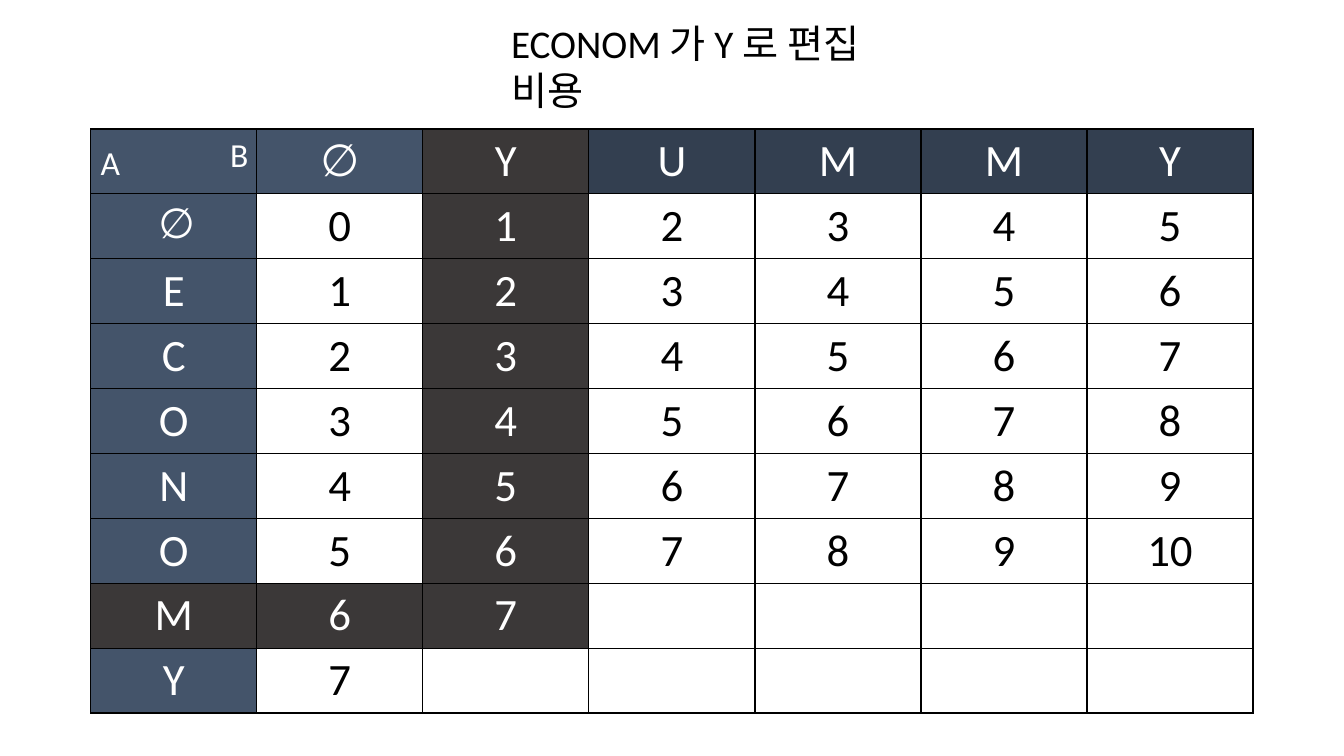
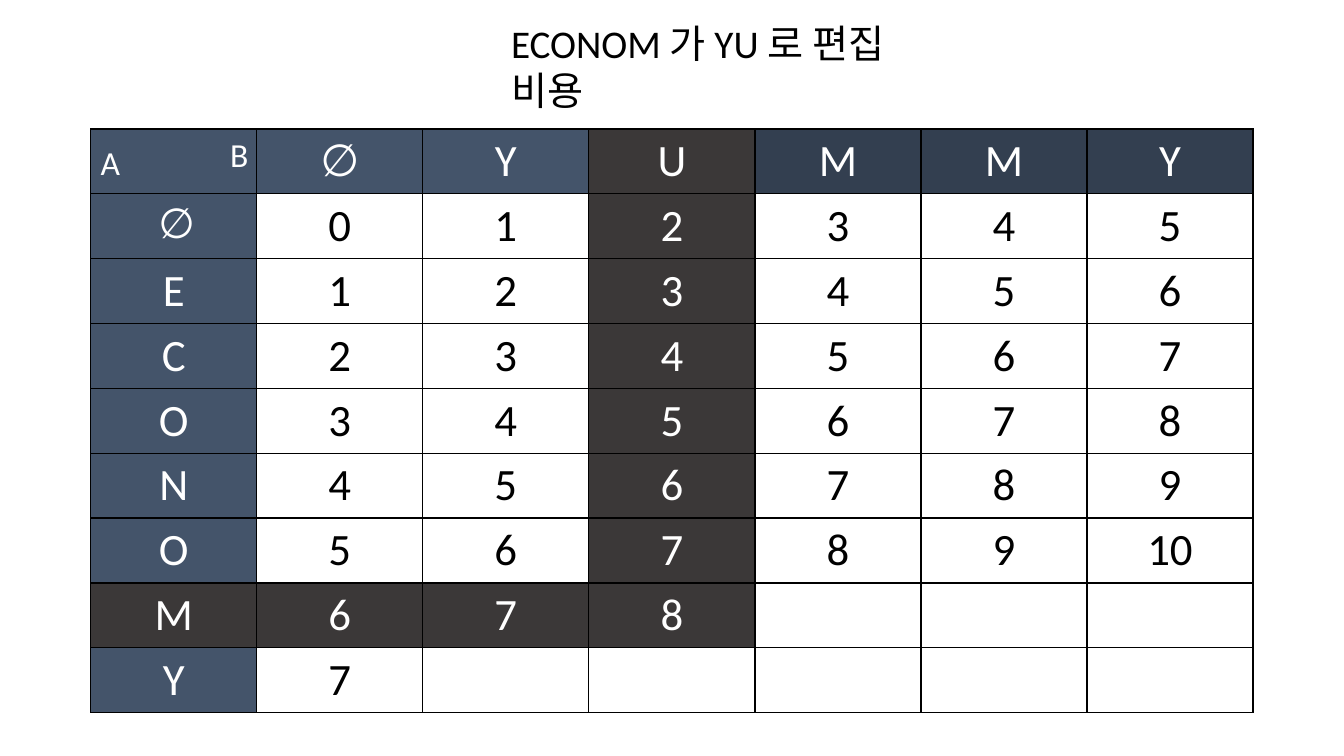
from dataclasses import dataclass

from pptx import Presentation
from pptx.dml.color import RGBColor
from pptx.enum.text import MSO_AUTO_SIZE, PP_ALIGN
from pptx.oxml import parse_xml
from pptx.oxml.ns import nsdecls
from pptx.util import Inches, Pt

# Shared look
FONT = "Calibri"
BLUE, NAVY, DARK = "44546A", "333F50", "3B3838"
WHITE, BLACK = "FFFFFF", "000000"

# Grid: one header row and column around the cost matrix
WIDE, HIGH = 13.33, 7.5
LEFT, TOP = 0.9, 1.28
COLS, ROWS = "∅YUMMY", "∅ECONOMY"
COL_W = 11.53 / (len(COLS) + 1)
ROW_H = 5.79 / (len(ROWS) + 1)
STOP = 6  # matrix row being filled in


@dataclass
class Step:
    title: str
    col: int  # matrix column being filled in


@dataclass
class Label:
    text: str
    left: float
    top: float
    width: float
    height: float
    size: int
    color: str
    wrap: bool = False


STEPS = [
    Step("ECONOM 가 Y 로 편집 비용", 1),
    Step("ECONOM 가 YU 로 편집 비용", 2),
]
CORNER = [
    Label("A", LEFT, TOP + ROW_H / 8, 0.4, 0.5, 24, WHITE),
    Label("B", LEFT + 0.78 * COL_W, TOP, 0.38, 0.5, 24, WHITE),
]


def paint(code: str) -> RGBColor:
    return RGBColor.from_string(code)


def add_run(para, text: str, size: int, color: str) -> None:
    run = para.add_run()
    run.text = text
    run.font.name = FONT
    run.font.size = Pt(size)
    run.font.color.rgb = paint(color)


def add_label(slide, item: Label) -> None:
    box = slide.shapes.add_textbox(*map(
        Inches, (item.left, item.top, item.width, item.height)))
    frame = box.text_frame
    frame.word_wrap = item.wrap
    frame.auto_size = MSO_AUTO_SIZE.SHAPE_TO_FIT_TEXT
    add_run(frame.paragraphs[0], item.text, item.size, item.color)


def set_cell(cell, runs: list[tuple[str, int]], fill: str) -> None:
    # Borders come before the fill in the cell properties
    props = cell._tc.get_or_add_tcPr()
    for side in "LRTB":
        props.append(parse_xml(
            f'<a:ln{side} {nsdecls("a")} w="{Pt(1)}"><a:solidFill>'
            f'<a:srgbClr val="{BLACK}"/></a:solidFill></a:ln{side}>'))
    cell.fill.solid()
    cell.fill.fore_color.rgb = paint(fill)
    para = cell.text_frame.paragraphs[0]
    para.alignment = PP_ALIGN.CENTER
    for text, size in runs:
        add_run(para, text, size, BLACK if fill == WHITE else WHITE)


def get_runs(row: int, col: int, stop: int) -> list[tuple[str, int]]:
    """Row and column -1 are the headers."""
    if row == col == -1:
        return []
    if row == -1:
        return [(COLS[col], 32)]
    if col == -1:
        return [(" ", 18), (ROWS[row], 30)] if row == 0 else [(ROWS[row], 32)]
    known = row < STOP or col == 0 or (row == STOP and col <= stop)
    return [(str(row + col), 32)] if known else []


def get_fill(row: int, col: int, stop: int) -> str:
    if (col == stop and row <= STOP) or (row == STOP and col <= stop):
        return DARK
    if row == -1:
        return BLUE if col < stop else NAVY
    return BLUE if col == -1 else WHITE


def add_matrix(slide, stop: int) -> None:
    wide, high = len(COLS) + 1, len(ROWS) + 1
    table = slide.shapes.add_table(
        high, wide, Inches(LEFT), Inches(TOP),
        Inches(wide * COL_W), Inches(high * ROW_H)).table
    table.first_row = table.horz_banding = False
    for row in range(-1, len(ROWS)):
        for col in range(-1, len(COLS)):
            set_cell(table.cell(row + 1, col + 1),
                     get_runs(row, col, stop), get_fill(row, col, stop))


def main() -> None:
    deck = Presentation()
    deck.slide_width, deck.slide_height = Inches(WIDE), Inches(HIGH)
    for step in STEPS:
        slide = deck.slides.add_slide(deck.slide_layouts[6])
        add_matrix(slide, step.col)
        title = Label(step.title, 4.97, 0.14, WIDE * 0.33, 0.57, 28, BLACK, True)
        for item in [*CORNER, title]:
            add_label(slide, item)
    deck.save("out.pptx")


if __name__ == "__main__":
    main()
